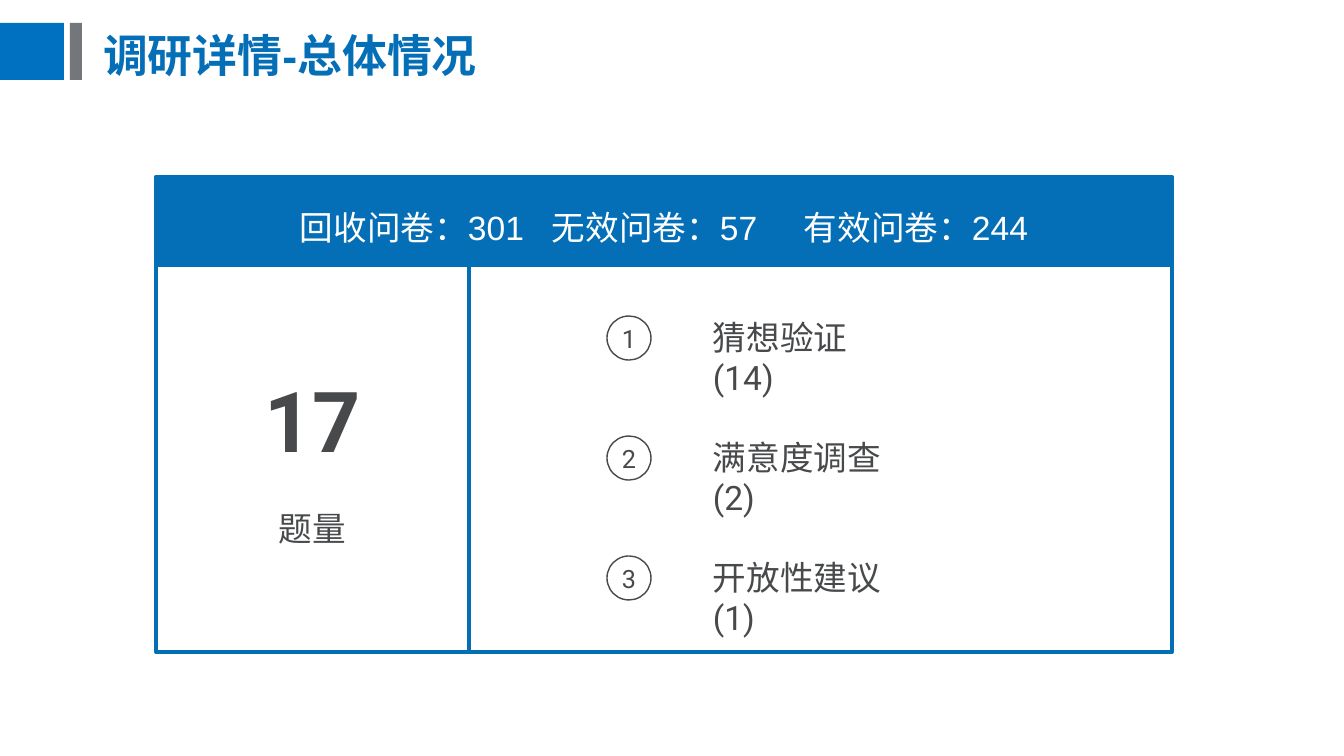
from pptx import Presentation
from pptx.dml.color import RGBColor
from pptx.enum.shapes import MSO_SHAPE
from pptx.enum.text import MSO_ANCHOR, MSO_AUTO_SIZE, PP_ALIGN
from pptx.util import Pt

RECT, OVAL = MSO_SHAPE.RECTANGLE, MSO_SHAPE.OVAL
LEFT, CENTER = PP_ALIGN.LEFT, PP_ALIGN.CENTER
TOP, MIDDLE = MSO_ANCHOR.TOP, MSO_ANCHOR.MIDDLE
NO_FIT = MSO_AUTO_SIZE.NONE
EMU_PER_INCH = 914400
PX_PER_INCH = 100.8
COLORS = {
    "accent": "0070C0",
    "gray": "73767A",
    "blue": "046FB6",
    "ink": "47494B",
    "white": "FFFFFF",
}


def px(length):
    return round(length * EMU_PER_INCH / PX_PER_INCH)


def color(name):
    return RGBColor.from_string(COLORS[name])


def set_formats(target, formats):
    for attribute, value in formats.items():
        setattr(target, attribute, value)


class SurveySlide:
    def __init__(self, deck):
        self.slide = deck.slides.add_slide(deck.slide_layouts[5])
        self.heading_font = "Arial"
        self.body_font = "Roboto"

    def put_text(self, frame, lines, ink, font, align=CENTER, anchor=MIDDLE, spacing=None):
        set_formats(frame, {"word_wrap": True, "auto_size": NO_FIT, "vertical_anchor": anchor})
        for index, (words, size, bold, before) in enumerate(lines):
            paragraph = frame.add_paragraph() if index else frame.paragraphs[0]
            set_formats(paragraph, {"alignment": align, "line_spacing": spacing})
            if before:
                paragraph.space_before = Pt(before)
            run = paragraph.add_run()
            run.text = words
            set_formats(run.font, {"name": font, "size": Pt(size), "bold": bold})
            run.font.color.rgb = color(ink)

    def title(self, words, box):
        heading = self.slide.shapes.title
        set_formats(heading, dict(zip(("left", "top", "width", "height"), map(px, box))))
        self.put_text(heading.text_frame, [(words, 32, True, 0)], "blue",
                      self.heading_font, align=LEFT, spacing=0.9)

    def shape(self, kind, box, fill=None, line=None, weight=3):
        shape = self.slide.shapes.add_shape(kind, *map(px, box))
        shape.shadow.inherit = False
        if fill:
            shape.fill.solid()
            shape.fill.fore_color.rgb = color(fill)
        else:
            shape.fill.background()
        if line:
            shape.line.color.rgb = color(line)
            shape.line.width = Pt(weight)
        else:
            shape.line.fill.background()
        return shape

    def panel(self, box, lines=(), fill=None, ink="ink", font=None, spacing=None):
        panel = self.shape(RECT, box, fill, "blue")
        self.put_text(panel.text_frame, lines, ink, font or self.body_font, spacing=spacing)

    def topic(self, number, words, top):
        badge = self.shape(OVAL, (607, top, 44, 44), line="ink", weight=1)
        sides = ("margin_left", "margin_right", "margin_top", "margin_bottom")
        set_formats(badge.text_frame, dict.fromkeys(sides, 0))
        self.put_text(badge.text_frame, [(str(number), 18, False, 0)], "ink", self.body_font)
        label = self.slide.shapes.add_textbox(*map(px, (703, top - 4, 195, 50)))
        self.put_text(label.text_frame, [(words, 24, False, 0)], "ink",
                      self.body_font, align=LEFT, anchor=TOP)


def main():
    deck = Presentation()
    set_formats(deck, {"slide_width": px(1344), "slide_height": px(756)})
    survey = SurveySlide(deck)

    survey.shape(RECT, (0, 23, 64, 57), "accent")
    survey.shape(RECT, (70, 23, 12, 57), "gray")
    survey.title("调研详情-总体情况", (93, 14, 1144, 87))

    survey.panel((156, 265, 313, 387), [("17", 60, True, 0), ("题量", 24, False, 28)])
    survey.panel((469, 265, 703, 387))
    counts = {"回收问卷": 301, "无效问卷": 57, "有效问卷": 244}
    summary = "\t".join(f"{name}：{count}" for name, count in counts.items())
    survey.panel((156, 177, 1016, 88), [(summary, 24, False, 0)], "blue", "white",
                 survey.heading_font, 1.3)

    topics = ["猜想验证(14)", "满意度调查(2)", "开放性建议(1)"]
    for index, words in enumerate(topics):
        survey.topic(index + 1, words, 316 + index * 120)

    deck.save("out.pptx")


if __name__ == "__main__":
    main()
